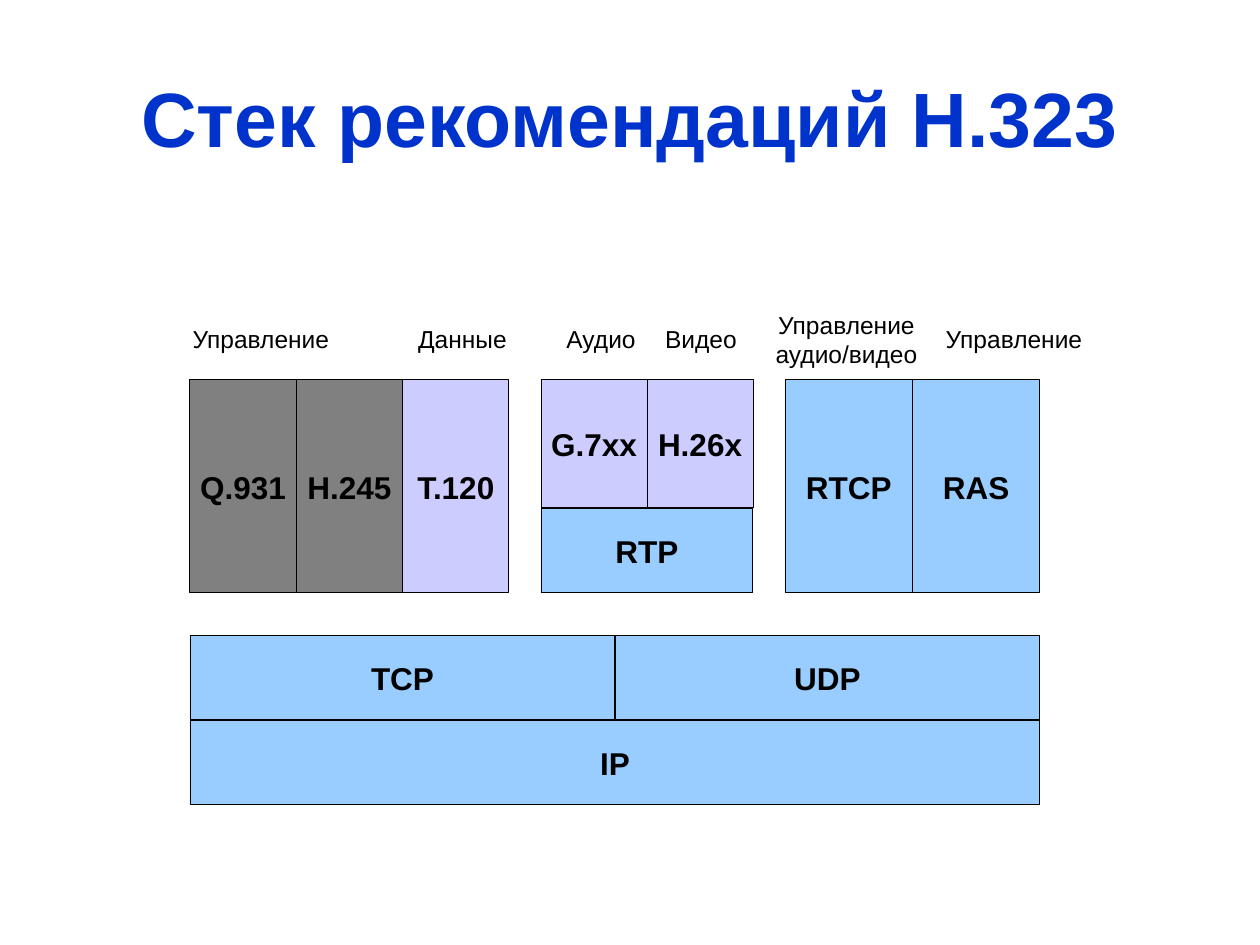
from pptx import Presentation
from pptx.dml.color import RGBColor
from pptx.enum.shapes import MSO_SHAPE
from pptx.enum.text import MSO_ANCHOR, PP_ALIGN
from pptx.util import Emu, Pt

PIXELS_PER_INCH = 126
COLORS = {
    "title": "0033CC",
    "text": "000000",
    "transport": "99CCFF",
    "media": "CCCCFF",
    "control": "808080",
}
TITLE_FONT = {"name": "Arial", "size": Pt(44), "bold": True}
BLOCK_FONT = {"name": "Arial", "size": Pt(18), "bold": True}
LABEL_FONT = {"name": "Arial", "size": Pt(14), "bold": False}
NO_MARGINS = {"margin_left": 0, "margin_top": 0, "margin_right": 0, "margin_bottom": 0}

# left, top, width, height of a row, then its equally wide blocks
BLOCK_ROWS = [
    (190, 720, 850, 85, [("IP", "transport")]),
    (190, 635, 850, 85, [("TCP", "transport"), ("UDP", "transport")]),
    (541, 508, 212, 85, [("RTP", "transport")]),
    (785, 380, 255, 213, [("RTCP", "transport"), ("RAS", "transport")]),
    (541, 380, 212, 128, [("G.7xx", "media"), ("H.26x", "media")]),
    (190, 380, 319, 213, [("Q.931", "control"), ("H.245", "control"), ("T.120", "media")]),
]
# left, top, width, lines
LABELS = [
    (192, 324, 138, ["Управление"]),
    (418, 324, 89, ["Данные"]),
    (566, 324, 70, ["Аудио"]),
    (665, 324, 72, ["Видео"]),
    (775, 310, 143, ["Управление", "аудио/видео"]),
    (945, 324, 138, ["Управление"]),
]
LABEL_LINE_HEIGHT = 28


def px(length):
    return Emu(round(length * 914400 / PIXELS_PER_INCH))


def set_attributes(target, values):
    for name, value in values.items():
        setattr(target, name, value)


def write_lines(shape, lines, font, color, frame_format):
    """Fill the shape with centred paragraphs, one for each line."""
    frame = shape.text_frame
    set_attributes(frame, frame_format)
    frame.text = "\n".join(lines)
    for paragraph in frame.paragraphs:
        paragraph.alignment = PP_ALIGN.CENTER
        for run in paragraph.runs:
            set_attributes(run.font, font)
            run.font.color.rgb = RGBColor.from_string(COLORS[color])


def add_title(slide, text):
    title = slide.shapes.title
    set_attributes(title, {"left": px(63), "top": px(38), "width": px(1134), "height": px(157)})
    write_lines(title, [text], TITLE_FONT, "title", {"vertical_anchor": MSO_ANCHOR.MIDDLE})


def add_block(slide, left, top, width, height, text, fill):
    block = slide.shapes.add_shape(
        MSO_SHAPE.RECTANGLE, px(left), px(top), px(width), px(height))
    block.shadow.inherit = False
    block.fill.solid()
    block.fill.fore_color.rgb = RGBColor.from_string(COLORS[fill])
    block.line.color.rgb = RGBColor.from_string(COLORS["text"])
    block.line.width = Pt(0.5)
    frame_format = {**NO_MARGINS, "word_wrap": False, "vertical_anchor": MSO_ANCHOR.MIDDLE}
    write_lines(block, [text], BLOCK_FONT, "text", frame_format)


def add_block_row(slide, left, top, width, height, blocks):
    block_width = width / len(blocks)
    for index, (text, fill) in enumerate(blocks):
        add_block(slide, left + index * block_width, top, block_width, height, text, fill)


def add_label(slide, left, top, width, lines):
    label = slide.shapes.add_textbox(
        px(left), px(top), px(width), px(LABEL_LINE_HEIGHT * len(lines)))
    write_lines(label, lines, LABEL_FONT, "text", {**NO_MARGINS, "word_wrap": False})


def main():
    presentation = Presentation()
    presentation.slide_width = px(1260)
    presentation.slide_height = px(945)
    slide = presentation.slides.add_slide(presentation.slide_layouts[5])
    add_title(slide, "Стек рекомендаций Н.323")
    for row in BLOCK_ROWS:
        add_block_row(slide, *row)
    for label in LABELS:
        add_label(slide, *label)
    presentation.save("out.pptx")


if __name__ == "__main__":
    main()
